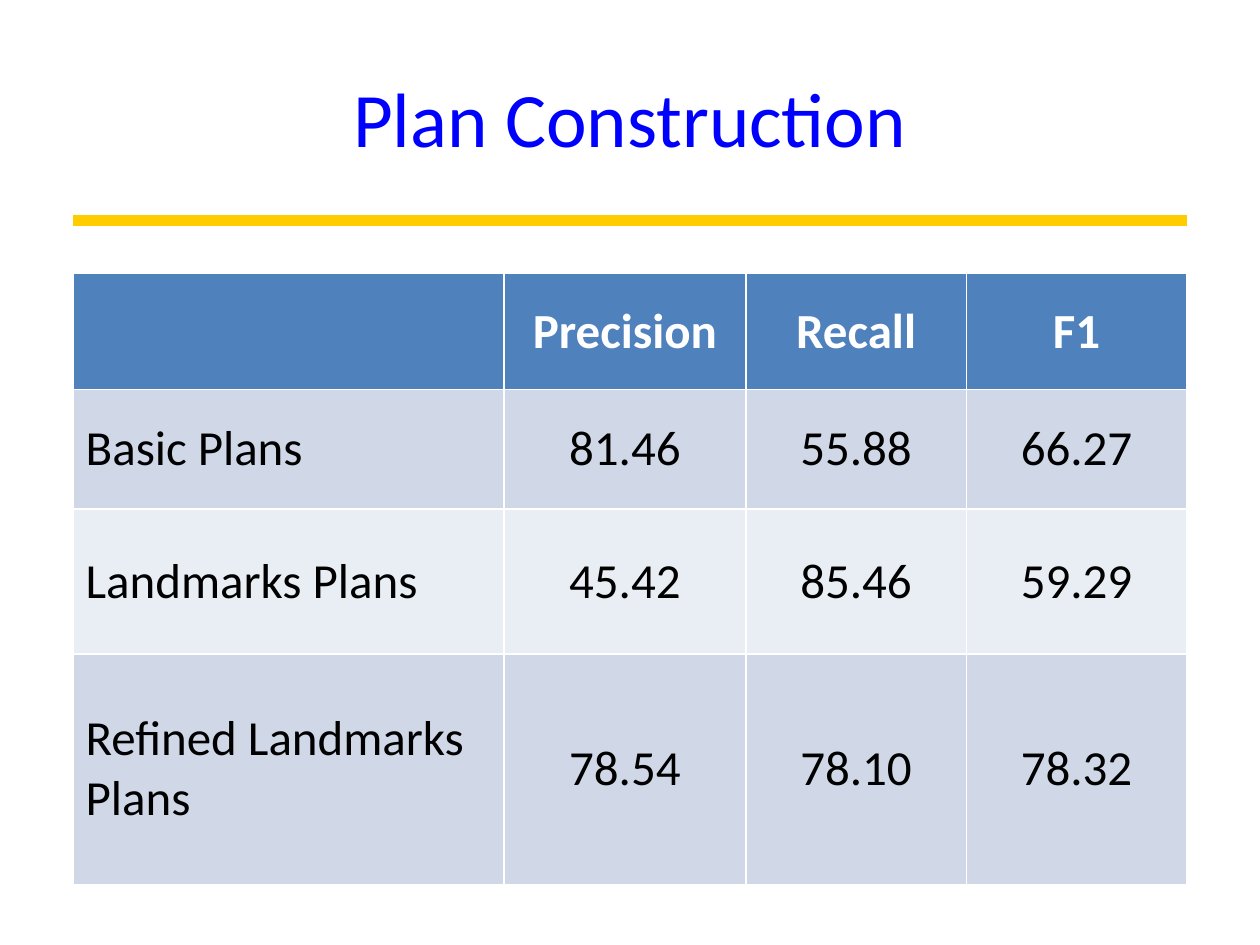
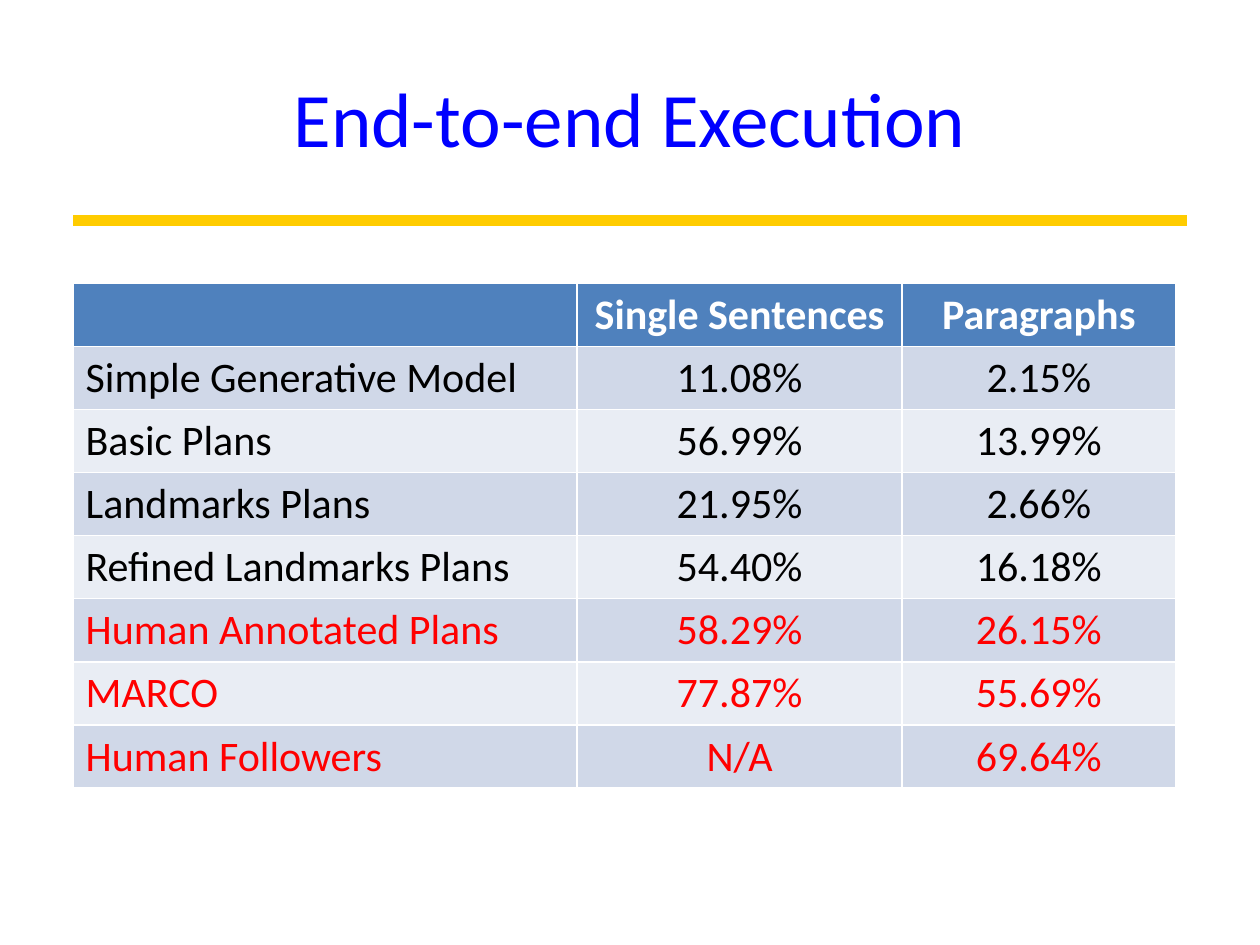
import pptx
import pptx.dml.color
import pptx.enum.shapes
import pptx.enum.text
import pptx.oxml
import pptx.oxml.ns
import pptx.util
from dataclasses import dataclass

Inches, Pt = pptx.util.Inches, pptx.util.Pt
MIDDLE = pptx.enum.text.MSO_ANCHOR.MIDDLE
ALIGN = pptx.enum.text.PP_ALIGN


@dataclass
class Theme:
    font: str = "Calibri"
    title: str = "0000FF"
    rule: str = "FFCC00"
    header: str = "4F81BD"
    bands: tuple = ("D0D8E8", "E9EDF4")
    header_text: str = "FFFFFF"
    text: str = "000000"
    highlight: str = "FF0000"
    title_size: int = 44


theme = Theme()
rgb = pptx.dml.color.RGBColor.from_string
LEFT = 0.58

# Content of the two result tables
slides = [
    dict(
        title="Plan Construction", top=2.17, size=28, highlighted=(),
        cols=[3.42, 1.92, 1.75, 1.75], heights=[0.92, 0.95, 1.15, 1.83],
        rows=[
            ["", "Precision", "Recall", "F1"],
            ["Basic Plans", "81.46", "55.88", "66.27"],
            ["Landmarks Plans", "45.42", "85.46", "59.29"],
            ["Refined Landmarks Plans", "78.54", "78.10", "78.32"],
        ],
    ),
    dict(
        title="End-to-end Execution", top=2.25, size=24,
        highlighted=("Human Annotated Plans", "MARCO", "Human Followers"),
        cols=[4, 2.58, 2.17], heights=[0.5] * 8,
        rows=[
            ["", "Single Sentences", "Paragraphs"],
            ["Simple Generative Model", "11.08%", "2.15%"],
            ["Basic Plans", "56.99%", "13.99%"],
            ["Landmarks Plans", "21.95%", "2.66%"],
            ["Refined Landmarks Plans", "54.40%", "16.18%"],
            ["Human Annotated Plans", "58.29%", "26.15%"],
            ["MARCO", "77.87%", "55.69%"],
            ["Human Followers", "N/A", "69.64%"],
        ],
    ),
]


def style(p, size, color, align, bold=False):
    p.alignment = align
    p.font.name, p.font.size, p.font.bold = theme.font, Pt(size), bold
    p.font.color.rgb = rgb(color)


prs = pptx.Presentation()
prs.slide_width, prs.slide_height = Inches(10), Inches(7.5)

for data in slides:
    s = prs.slides.add_slide(prs.slide_layouts[6])

    # Title
    sp = s.shapes.add_textbox(Inches(0.5), Inches(0.3), Inches(9), Inches(1.25))
    tf = sp.text_frame
    tf.word_wrap = True
    tf.vertical_anchor = MIDDLE
    tf.text = data["title"]
    style(tf.paragraphs[0], theme.title_size, theme.title, ALIGN.CENTER)

    # Rule under the title
    rule = s.shapes.add_connector(
        pptx.enum.shapes.MSO_CONNECTOR.STRAIGHT,
        Inches(LEFT), Inches(1.75), Inches(10 - LEFT), Inches(1.75))
    rule.line.color.rgb = rgb(theme.rule)
    rule.line.width = Pt(6)
    rule._element.spPr.append(
        pptx.oxml.parse_xml(f'<a:effectLst {pptx.oxml.ns.nsdecls("a")}/>'))

    # Table: the default style supplies the white borders
    cols, heights, rows = data["cols"], data["heights"], data["rows"]
    table = s.shapes.add_table(
        len(rows), len(cols), Inches(LEFT), Inches(data["top"]),
        Inches(sum(cols)), Inches(sum(heights))).table
    for column, width in zip(table.columns, cols):
        column.width = Inches(width)
    for i, (values, height) in enumerate(zip(rows, heights)):
        table.rows[i].height = Inches(height)
        if i == 0:
            fill, color = theme.header, theme.header_text
        else:
            fill = theme.bands[(i - 1) % 2]
            color = theme.highlight if values[0] in data["highlighted"] else theme.text
        for j, value in enumerate(values):
            cell = table.cell(i, j)
            cell.fill.solid()
            cell.fill.fore_color.rgb = rgb(fill)
            cell.vertical_anchor = MIDDLE
            cell.text = value
            align = ALIGN.CENTER if j else ALIGN.LEFT
            style(cell.text_frame.paragraphs[0], data["size"], color, align, bold=i == 0)

prs.save("out.pptx")
